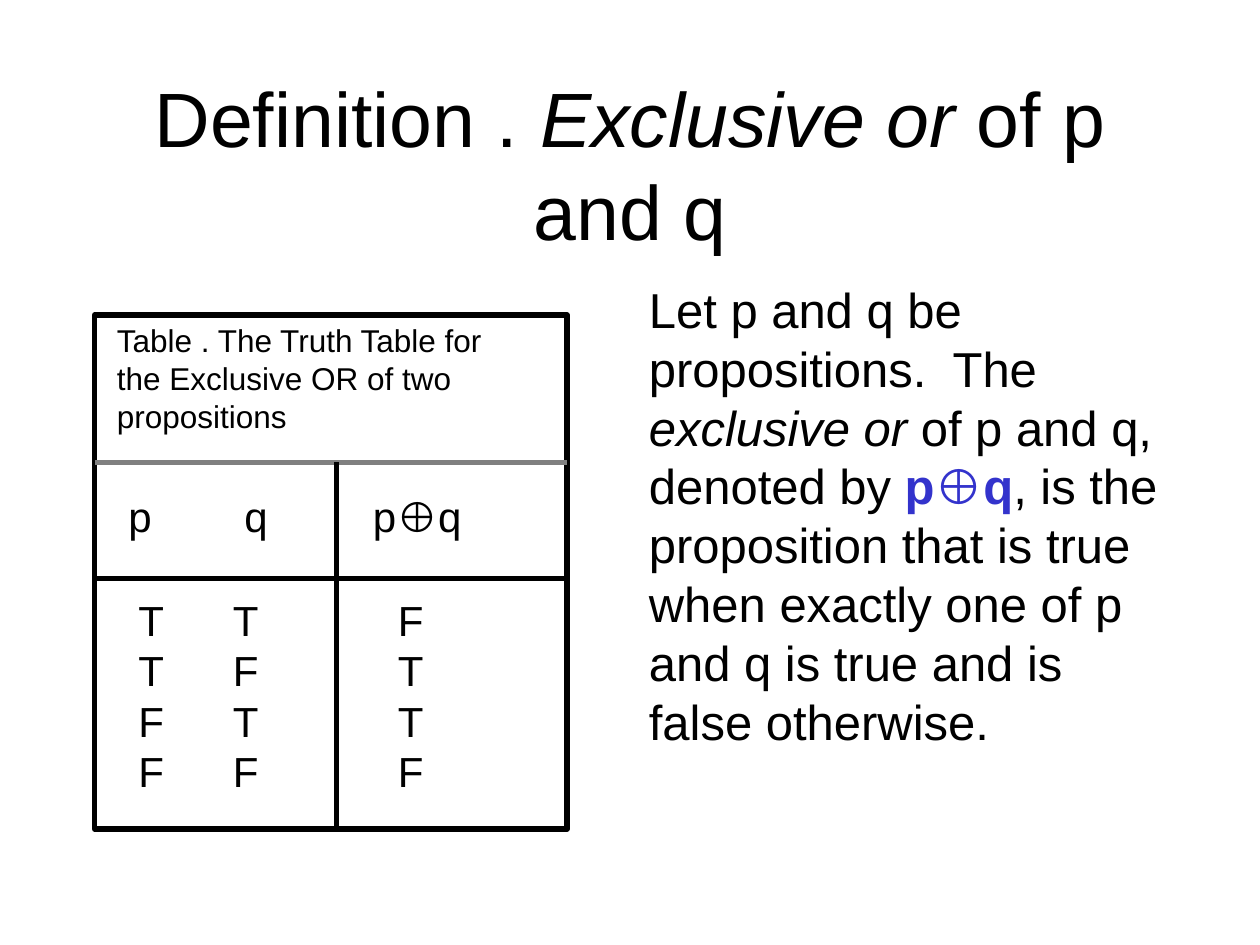
from typing import NamedTuple

from lxml import etree
from pptx import Presentation
from pptx.dml.color import RGBColor
from pptx.enum import shapes, text
from pptx.oxml.ns import qn
from pptx.util import Emu, Inches, Pt

BLACK = RGBColor(0x00, 0x00, 0x00)
WHITE = RGBColor(0xFF, 0xFF, 0xFF)
GRAY = RGBColor(0x80, 0x80, 0x80)
BLUE = RGBColor(0x33, 0x33, 0xCC)
FONT = "Arial"
LEADING = 1.2
RULE_WIDTH = Pt(3)


class Run(NamedTuple):
    text: str
    italic: bool = False
    bold: bool = False
    color: RGBColor = BLACK


class Box(NamedTuple):
    left: float
    top: float
    width: float
    height: float

    def lengths(self) -> list[Emu]:
        return [Inches(value) for value in self]


class Rule(NamedTuple):
    x1: float
    y1: float
    x2: float
    y2: float
    color: RGBColor = BLACK


FRAME = Box(0.75, 2.5, 3.75, 4.08)
RIGHT = FRAME.left + FRAME.width
BOTTOM = FRAME.top + FRAME.height
CAPTION_Y, HEADER_Y, RESULT_X = 3.67, 4.59, 2.67
RULES = [
    Rule(FRAME.left, CAPTION_Y, RIGHT, CAPTION_Y, GRAY),
    Rule(RESULT_X, CAPTION_Y, RESULT_X, BOTTOM),
    Rule(FRAME.left, HEADER_Y, RIGHT, HEADER_Y),
]

TITLE = [Run("Definition . "), Run("Exclusive or", italic=True), Run(" of p and q")]
DEFINITION = [
    Run("Let p and q be propositions.  The "),
    Run("exclusive or", italic=True),
    Run(" of p and q, denoted by "),
    Run("p⊕q", bold=True, color=BLUE),
    Run(", is the proposition that is true when exactly one of p "
        "and q is true and is false otherwise."),
]
CAPTION = [Run("Table . The Truth Table for the Exclusive OR of two propositions")]
HEADER = [Run("p\tq\tp⊕q")]
TRUTH_ROWS = [[Run("\t".join(row))] for row in ("TTF", "TFT", "FTT", "FFF")]


def write(tf, paragraphs: list[list[Run]], *, size: float,
          align=text.PP_ALIGN.LEFT, tabs: tuple[float, ...] = ()) -> None:
    tf.word_wrap = True
    tf.auto_size = text.MSO_AUTO_SIZE.NONE
    for i, runs in enumerate(paragraphs):
        p = tf.paragraphs[0] if i == 0 else tf.add_paragraph()
        p.alignment = align
        p.line_spacing = Pt(size * LEADING)
        p.space_before = Pt(0)
        if tabs:
            tab_list = etree.SubElement(p._p.get_or_add_pPr(), qn("a:tabLst"))
            for stop in tabs:
                etree.SubElement(tab_list, qn("a:tab"), pos=str(Inches(stop)), algn="l")
        for run in runs:
            r = p.add_run()
            r.text = run.text
            r.font.name = FONT
            r.font.size = Pt(size)
            r.font.italic = run.italic
            r.font.bold = run.bold
            r.font.color.rgb = run.color


def add_text(s, box: Box, paragraphs: list[list[Run]], **text_format):
    tf = s.shapes.add_textbox(*box.lengths()).text_frame
    write(tf, paragraphs, **text_format)
    return tf


def add_frame(s, box: Box) -> None:
    sp = s.shapes.add_shape(shapes.MSO_SHAPE.RECTANGLE, *box.lengths())
    sp.shadow.inherit = False
    sp.fill.solid()
    sp.fill.fore_color.rgb = WHITE
    sp.line.color.rgb = BLACK
    sp.line.width = RULE_WIDTH


def add_rule(s, rule: Rule) -> None:
    ends = [Inches(value) for value in rule[:4]]
    line = s.shapes.add_connector(shapes.MSO_CONNECTOR.STRAIGHT, *ends)
    line.line.color.rgb = rule.color
    line.line.width = RULE_WIDTH
    etree.SubElement(line._element.spPr, qn("a:effectLst"))


def main() -> None:
    prs = Presentation()
    prs.slide_width, prs.slide_height = Inches(10), Inches(7.5)
    s = prs.slides.add_slide(prs.slide_layouts[5])

    title = s.shapes.title
    title.left, title.top, title.width, title.height = Box(0.75, 0.67, 8.5, 1.25).lengths()
    title.text_frame.vertical_anchor = text.MSO_ANCHOR.MIDDLE
    write(title.text_frame, [TITLE], size=44, align=text.PP_ALIGN.CENTER)

    definition = add_text(s, Box(4.67, 2.17, 4.75, 4.5), [DEFINITION], size=28)
    definition.margin_left = Inches(0.48)

    add_frame(s, FRAME)
    for rule in RULES:
        add_rule(s, rule)
    add_text(s, Box(0.83, 2.5, 3.5, 1), [CAPTION], size=18)
    add_text(s, Box(0.92, 3.84, 3.08, 0.5), [HEADER], size=24, tabs=(0.92, 1.94))
    add_text(s, Box(1, 4.67, 3.25, 1.7), TRUTH_ROWS, size=24, tabs=(0.75, 2.06))

    prs.save("out.pptx")


if __name__ == "__main__":
    main()
